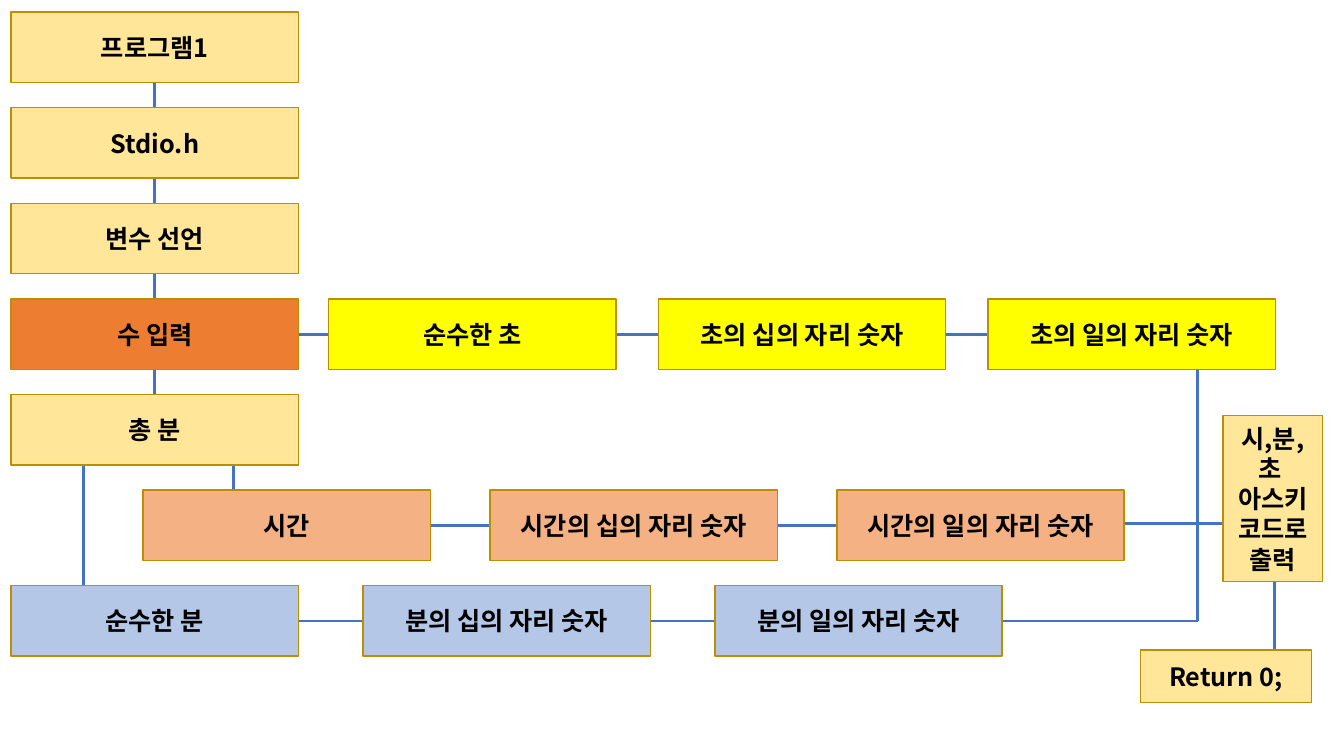
from dataclasses import dataclass

from lxml import etree
from pptx import Presentation
from pptx.dml.color import RGBColor
from pptx.enum import shapes, text
from pptx.oxml import ns
from pptx.util import Inches, Pt

CREAM = RGBColor(0xFF, 0xE6, 0x99)
ORANGE = RGBColor(0xED, 0x7D, 0x31)
PEACH = RGBColor(0xF4, 0xB1, 0x83)
PALE = RGBColor(0xB4, 0xC7, 0xE7)
YELLOW = RGBColor(0xFF, 0xFF, 0x00)
GOLD = RGBColor(0xBD, 0x8E, 0x00)
BLUE = RGBColor(0x44, 0x72, 0xC4)
BLACK = RGBColor(0, 0, 0)
FONT = "Noto Sans CJK KR"

LEFT, TOP, WIDE, HIGH = 0.11, 0.12, 2.85, 0.7
PITCH = (5.81 - TOP) / 6


@dataclass
class Box:
    label: str
    fill: RGBColor
    left: float
    top: float
    width: float = WIDE
    height: float = HIGH


@dataclass
class Link:
    x1: float
    y1: float
    x2: float
    y2: float


@dataclass
class Chain:
    row: int
    left: float
    step: float
    fill: RGBColor
    labels: list[str]


def row_top(row: int) -> float:
    return TOP + row * PITCH


def draw_link(slide, link: Link) -> None:
    ends = [Inches(v) for v in (link.x1, link.y1, link.x2, link.y2)]
    line = slide.shapes.add_connector(shapes.MSO_CONNECTOR.STRAIGHT, *ends)
    line.line.color.rgb = BLUE
    line.line.width = Pt(2)
    etree.SubElement(line._element.spPr, ns.qn("a:effectLst"))


def draw_box(slide, box: Box) -> None:
    frame = [Inches(v) for v in (box.left, box.top, box.width, box.height)]
    shape = slide.shapes.add_shape(shapes.MSO_SHAPE.RECTANGLE, *frame)
    shape.shadow.inherit = False
    shape.fill.solid()
    shape.fill.fore_color.rgb = box.fill
    shape.line.color.rgb = GOLD
    shape.line.width = Pt(1)
    body = shape.text_frame
    body.text = box.label
    body.word_wrap = True
    body.vertical_anchor = text.MSO_ANCHOR.MIDDLE
    for para in body.paragraphs:
        para.alignment = text.PP_ALIGN.CENTER
        for run in para.runs:
            font = run.font
            font.name, font.size, font.bold = FONT, Pt(18), True
            font.color.rgb = BLACK
            # East Asian typeface for the Korean letters
            face = etree.SubElement(run._r.rPr, ns.qn("a:ea"))
            face.set("typeface", FONT)


deck = Presentation()
deck.slide_width, deck.slide_height = Inches(13.33), Inches(7.5)
slide = deck.slides.add_slide(deck.slide_layouts[6])

# Links, behind the boxes
LINKS = [
    Link(12.64, 5.06, 12.64, 6.88),  # output to return
    Link(9.48, 6.16, 11.88, 6.16),  # minutes to junction
    Link(11.88, 3.58, 11.88, 6.16),  # seconds to junction
    Link(11.88, 5.19, 12.16, 5.19),  # junction to output
    Link(10.68, 5.19, 11.88, 5.19),  # hours to junction
    Link(1.53, 0.57, 1.53, 4.26),  # main steps
    Link(2.32, 4.26, 2.32, 5.21),  # total to hours
    Link(0.83, 4.34, 0.83, 6.04),  # total to minutes
    Link(2.09, 6.16, 8.95, 6.16),  # minutes
    Link(2.96, 5.21, 9.81, 5.21),  # hours
    Link(2.96, 3.32, 9.81, 3.32),  # seconds
]
for link in LINKS:
    draw_link(slide, link)

# Main steps, top to bottom
STEPS = [
    ("프로그램1", CREAM),
    ("Stdio.h", CREAM),
    ("변수 선언", CREAM),
    ("수 입력", ORANGE),
    ("총 분", CREAM),
]
for row, (label, fill) in enumerate(STEPS):
    draw_box(slide, Box(label, fill, LEFT, row_top(row)))

# Chains of hours, minutes and seconds, left to right
CHAINS = [
    Chain(5, 1.42, 3.44, PEACH,
          ["시간", "시간의 십의 자리 숫자", "시간의 일의 자리 숫자"]),
    Chain(6, LEFT, 3.49, PALE,
          ["순수한 분", "분의 십의 자리 숫자", "분의 일의 자리 숫자"]),
    Chain(3, 3.26, 3.27, YELLOW,
          ["순수한 초", "초의 십의 자리 숫자", "초의 일의 자리 숫자"]),
]
for chain in CHAINS:
    for col, label in enumerate(chain.labels):
        left = chain.left + col * chain.step
        draw_box(slide, Box(label, chain.fill, left, row_top(chain.row)))

# Output and return
draw_box(slide, Box("시,분,초 \n아스키코드로 출력", CREAM, 12.13, 4.12, 0.99, 1.65))
draw_box(slide, Box("Return 0;", CREAM, 11.31, 6.45, 1.7, 0.52))

deck.save("out.pptx")
